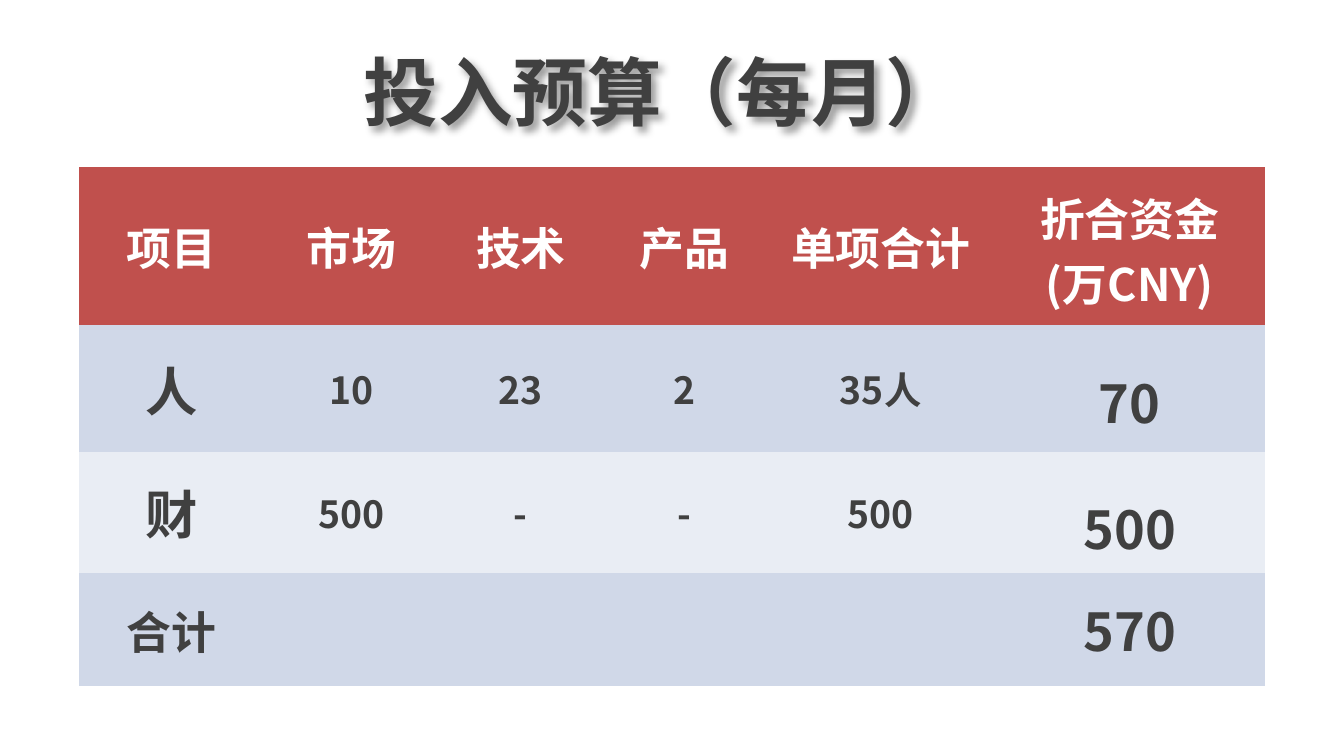
from lxml import etree
from pptx import Presentation
from pptx.dml.color import RGBColor
from pptx.enum import text
from pptx.oxml import parse_xml
from pptx.oxml.ns import nsdecls, qn
from pptx.util import Inches, Pt

FONT = "Noto Sans CJK SC"
DARK = RGBColor(0x40, 0x40, 0x40)
WHITE = RGBColor(0xFF, 0xFF, 0xFF)
RED = RGBColor(0xC0, 0x50, 0x4D)
BLUE = RGBColor(0xD0, 0xD8, 0xE8)
PALE = RGBColor(0xE9, 0xED, 0xF4)
PLAIN_TABLE = "{2D5ABB26-0587-4C30-8999-92F81FD0307C}"

COLUMN_WIDTHS = [1.37, 1.31, 1.22, 1.22, 1.7, 2.01]
ROW_HEIGHTS = [1.18, 0.94, 0.9, 0.84]
ROW_FILLS = [RED, BLUE, PALE, BLUE]
BUDGET = [
    ["项目", "市场", "技术", "产品", "单项合计", "折合资金\n(万CNY)"],
    ["人", "10", "23", "2", "35人", "70"],
    ["财", "500", "-", "-", "500", "500"],
    ["合计", "", "", "", "", "570"],
]
LAST = len(COLUMN_WIDTHS) - 1


def write_text(frame, words, size, color=DARK, spacing=None):
    """Fill a text frame with centred bold text, one paragraph per line."""
    for number, line in enumerate(words.split("\n")):
        para = frame.add_paragraph() if number else frame.paragraphs[0]
        para.alignment = text.PP_ALIGN.CENTER
        if spacing:
            para.line_spacing = spacing
        span = para.add_run()
        span.text = line
        span.font.size = Pt(size)
        span.font.bold = True
        span.font.color.rgb = color
        span.font.name = FONT
        latin = span.font._element.find(qn("a:latin"))
        east_asian = etree.SubElement(span.font._element, qn("a:ea"), typeface=FONT)
        latin.addnext(east_asian)


def add_shadow(box):
    """Give an unfilled box a soft shadow, which its text casts."""
    box.fill.background()
    box._element.spPr.append(parse_xml(
        f'<a:effectLst {nsdecls("a")}><a:outerShdw blurRad="50800" '
        'dist="38100" dir="2700000" algn="tl" rotWithShape="0">'
        '<a:srgbClr val="000000"><a:alpha val="40000"/></a:srgbClr>'
        '</a:outerShdw></a:effectLst>'))


def set_margins(cell, left, top, right, bottom):
    cell.margin_left, cell.margin_top = Inches(left), Inches(top)
    cell.margin_right, cell.margin_bottom = Inches(right), Inches(bottom)


def add_title(page, left, top, width, height):
    box = page.shapes.title
    box.left, box.top = Inches(left), Inches(top)
    box.width, box.height = Inches(width), Inches(height)
    add_shadow(box)
    frame = box.text_frame
    frame.word_wrap = True
    frame.auto_size = text.MSO_AUTO_SIZE.SHAPE_TO_FIT_TEXT
    frame.vertical_anchor = text.MSO_ANCHOR.TOP
    write_text(frame, "投入预算（每月）", 40)


def font_size(row, column):
    if row == 0:
        return 24
    if column == LAST:
        return 28
    if column == 0:
        return 24 if row == 3 else 28
    return 20


def format_cell(cell, row, column, words):
    cell.fill.solid()
    cell.fill.fore_color.rgb = ROW_FILLS[row]
    cell.vertical_anchor = text.MSO_ANCHOR.MIDDLE
    spacing = None

    # Body rows: tight margins, and open lines in the right-hand columns
    if row in (1, 2):
        side = 0.08 if row == 1 and column else 0.01
        bottom = 0
        if column >= 3:
            spacing, bottom = 1.5, 0.2
        if column == LAST:
            cell.vertical_anchor = text.MSO_ANCHOR.TOP
            bottom = 0.24 if row == 1 else 0.2
        set_margins(cell, side, 0, side, bottom)
    elif row == 3 and column == 0:
        set_margins(cell, 0.01, 0.01, 0.01, 0)
    elif row == 0 and column == LAST:
        set_margins(cell, 0.1, 0.05, 0.1, 0)

    if words:
        write_text(cell.text_frame, words, font_size(row, column),
                   color=DARK if row else WHITE, spacing=spacing)


def add_budget_table(page, left, top, width, height):
    box = page.shapes.add_table(len(BUDGET), len(COLUMN_WIDTHS), Inches(left),
                                Inches(top), Inches(width), Inches(height))
    table = box.table
    table.horz_banding = False
    table._tbl.tblPr.find(qn("a:tableStyleId")).text = PLAIN_TABLE

    # Shares of the box
    for column, share in zip(table.columns, COLUMN_WIDTHS):
        column.width = Inches(width * share / sum(COLUMN_WIDTHS))
    for row, share in zip(table.rows, ROW_HEIGHTS):
        row.height = Inches(height * share / sum(ROW_HEIGHTS))

    for row, entries in enumerate(BUDGET):
        for column, words in enumerate(entries):
            format_cell(table.cell(row, column), row, column, words)


def main():
    deck = Presentation()
    # Widescreen, 16:9
    deck.slide_width = Inches(10)
    deck.slide_height = deck.slide_width * 9 // 16
    page = deck.slides.add_slide(deck.slide_layouts[5])
    add_title(page, 2.32, 0.29, 5.21, 0.77)
    add_budget_table(page, 0.59, 1.24, 8.82, 3.86)
    deck.save("out.pptx")


if __name__ == "__main__":
    main()
